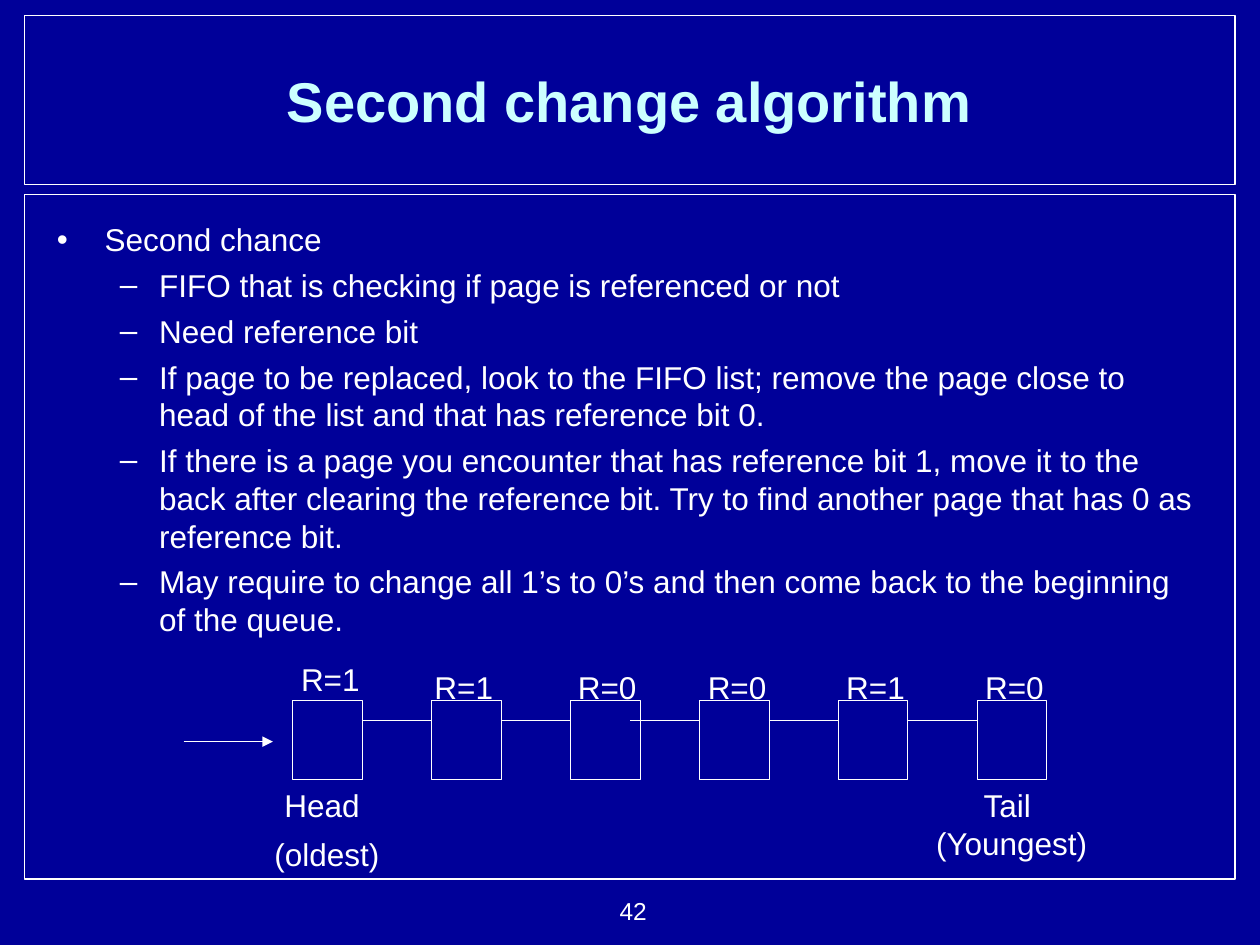
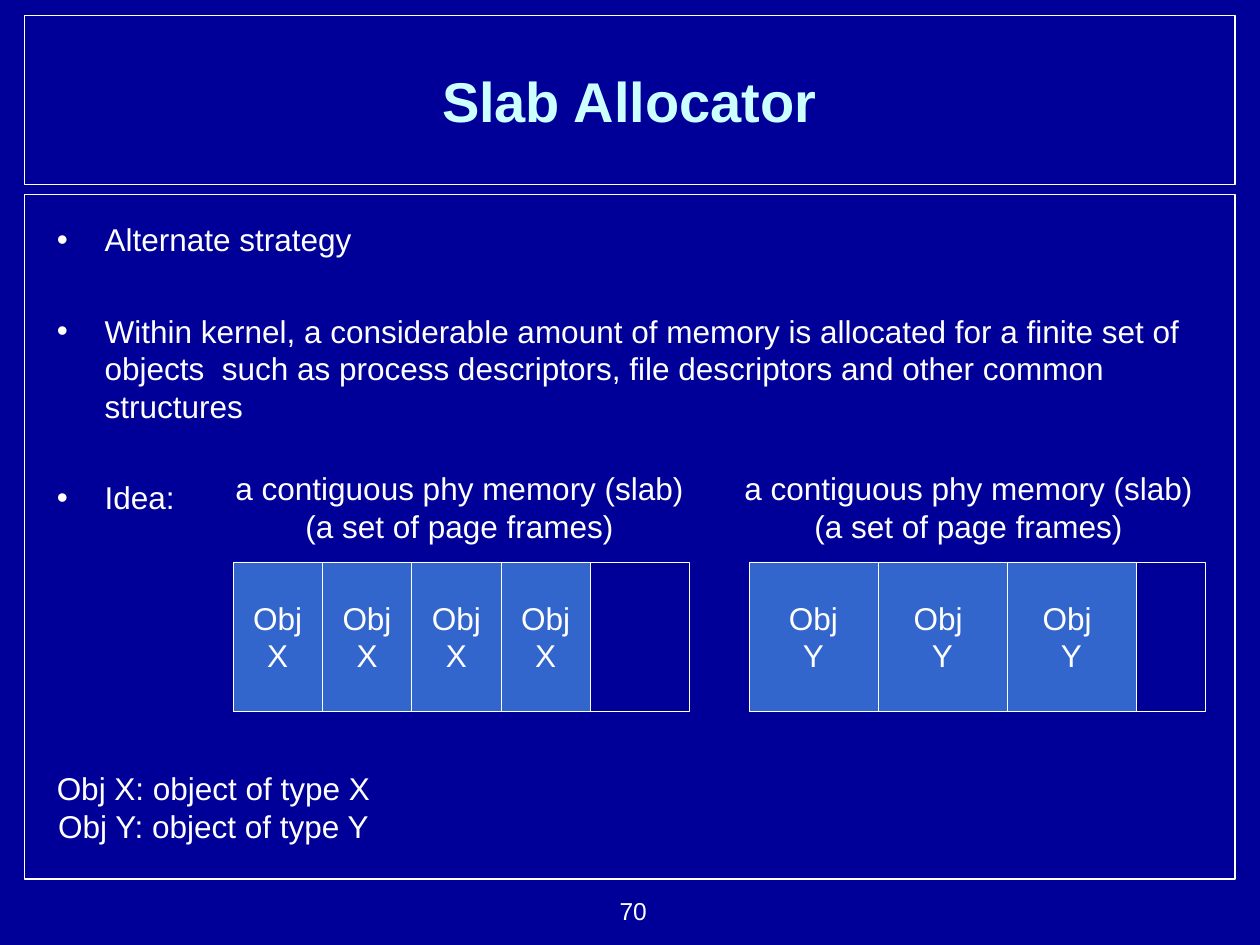
from lxml import etree
from pptx import Presentation
from pptx import util as u
from pptx.dml.color import RGBColor
from pptx.enum import shapes, text
from pptx.oxml import ns

Cm, Pt = u.Cm, u.Pt

# Content
SECOND_CHANCE = {
    "title": "Second change algorithm",
    "number": "42",
    # level, space before in points, text
    "body": [
        (0, 0, "Second chance"),
        (1, 4.5, "FIFO that is checking if page is referenced or not"),
        (1, 4.5, "Need reference bit"),
        (1, 4.5, "If page to be replaced, look to the FIFO list; remove the page "
                 "close to head of the list and that has reference bit 0."),
        (1, 4.5, "If there is a page you encounter that has reference bit 1, move it "
                 "to the back after clearing the reference bit. Try to find another "
                 "page that has 0 as reference bit."),
        (1, 4.5, "May require to change all 1’s to 0’s and then come back to the "
                 "beginning of the queue."),
    ],
    # page left, label left, label top, label
    "queue": [
        (5.9, 5.82, 13.18, "R=1"),
        (8.7, 8.51, 13.34, "R=1"),
        (11.5, 11.4, 13.34, "R=0"),
        (14.1, 14.02, 13.34, "R=0"),
        (16.9, 16.81, 13.34, "R=1"),
        (19.7, 19.61, 13.34, "R=0"),
    ],
    "ends": [
        ((5.49, 15.72, 2.18, 1.02), "Head "),
        ((5.28, 16.71, 2.62, 1.02), "(oldest)"),
        ((18.59, 15.72, 3.61, 1.78), "Tail \n(Youngest)"),
    ],
}
SLAB = {
    "title": "Slab Allocator",
    "number": "70",
    "body": [
        (0, 0, "Alternate strategy"),
        (0, 30.5, "Within kernel, a considerable amount of memory is allocated for a "
                  "finite set of objects  such as process descriptors, file descriptors "
                  "and other common structures"),
        (0, 30.5, "Idea:"),
    ],
    "caption": "a contiguous phy memory (slab)\n(a set of page frames)",
    # slab left, caption left, object width, objects
    "slabs": [
        (4.7, 4.5, 1.8, ["Obj\nX"] * 4),
        (15.1, 14.76, 2.6, ["Obj\nY", "Obj \vY", "Obj \vY"]),
    ],
    "legend": "Obj X: object of type X\vObj Y: object of type Y",
}

# Shared style
COLORS = {"back": "000099", "ink": "FFFFFF", "title": "CCFFFF", "object": "3366CC"}
FONT = "Arial"
FRAMES = [(0.49, 0.32, 24.41, 3.4), (0.49, 3.92, 24.41, 13.8)]
TITLE_AREA = (0.89, 0.43, 23.6, 3.18)
BODY_AREA = (0.9, 4.32, 23.6, 13)
NUMBER_AREA = (10.65, 17.93, 2.64, 0.86)
BULLETS = [("•", 0.96, 0.96), ("–", 2.06, 0.79)]  # mark, margin, hanging
HAIRLINE = 0.25


def rgb(name):
    return RGBColor.from_string(COLORS[name])


def write(frame, content, size=18, color="ink", bold=False, align=text.PP_ALIGN.CENTER):
    frame.text = content
    for para in frame.paragraphs:
        para.alignment = align
        for span in para.runs:
            span.font.name = FONT
            span.font.size = Pt(size)
            span.font.bold = bold
            span.font.color.rgb = rgb(color)


def add_label(page, area, content):
    box = page.shapes.add_textbox(*map(Cm, area))
    frame = box.text_frame
    frame.word_wrap = False
    frame.auto_size = text.MSO_AUTO_SIZE.SHAPE_TO_FIT_TEXT
    frame.margin_left = frame.margin_right = Cm(0.1)
    write(frame, content)


def add_box(page, area, fill=None, weight=HAIRLINE, content=""):
    box = page.shapes.add_shape(shapes.MSO_SHAPE.RECTANGLE, *map(Cm, area))
    box.shadow.inherit = False
    if fill:
        box.fill.solid()
        box.fill.fore_color.rgb = rgb(fill)
    else:
        box.fill.background()
    box.line.color.rgb = rgb("ink")
    box.line.width = Pt(weight)
    if content:
        box.text_frame.word_wrap = False
        box.text_frame.vertical_anchor = text.MSO_ANCHOR.MIDDLE
        write(box.text_frame, content)


def add_line(page, left, right, height, arrow=False):
    line = page.shapes.add_connector(
        shapes.MSO_CONNECTOR.STRAIGHT, Cm(left), Cm(height), Cm(right), Cm(height))
    line.line.color.rgb = rgb("ink")
    line.line.width = Pt(HAIRLINE)
    if arrow:
        etree.SubElement(line.line._get_or_add_ln(), ns.qn("a:tailEnd"), type="triangle")
    etree.SubElement(line._element.spPr, ns.qn("a:effectLst"))


def add_body(page, items):
    frame = page.shapes.add_textbox(*map(Cm, BODY_AREA)).text_frame
    frame.word_wrap = True
    write(frame, "\n".join(item[2] for item in items), align=text.PP_ALIGN.LEFT)
    for para, (level, before, _) in zip(frame.paragraphs, items):
        mark, margin, hanging = BULLETS[level]
        para.level = level
        para.space_before = Pt(before)
        props = para._p.get_or_add_pPr()
        props.set("marL", str(Cm(margin)))
        props.set("indent", str(-Cm(hanging)))
        etree.SubElement(props, ns.qn("a:buFont"), typeface=FONT)
        etree.SubElement(props, ns.qn("a:buChar"), char=mark)


def add_page(deck, content):
    page = deck.slides.add_slide(deck.slide_layouts[5])
    for area in FRAMES:
        add_box(page, area, weight=0.75)
    title = page.shapes.title
    title.left, title.top, title.width, title.height = map(Cm, TITLE_AREA)
    title.text_frame.vertical_anchor = text.MSO_ANCHOR.MIDDLE
    write(title.text_frame, content["title"], size=32, color="title", bold=True)
    number = page.shapes.add_textbox(*map(Cm, NUMBER_AREA)).text_frame
    number.word_wrap = True
    write(number, content["number"], size=14, align=text.PP_ALIGN.RIGHT)
    add_body(page, content["body"])
    return page


def draw_queue(page, content):
    top, width, height, link = 14.12, 1.4, 1.6, 1.4
    for index, (left, label_left, label_top, label) in enumerate(content["queue"]):
        add_box(page, (left, top, width, height))
        add_label(page, (label_left, label_top, 1.68, 1.02), label)
        if index:
            add_line(page, left - link, left, 14.52)
    add_line(page, 3.7, 5.5, 14.95, arrow=True)
    for area, label in content["ends"]:
        add_label(page, area, label)


def draw_slabs(page, content):
    top, width, height = 11.33, 9.2, 3
    for left, caption_left, step, objects in content["slabs"]:
        add_box(page, (left, top, width, height))
        add_label(page, (caption_left, 9.33, 9.53, 1.78), content["caption"])
        for index, label in enumerate(objects):
            add_box(page, (left + index * step, top, step, height), "object", content=label)
    add_label(page, (0.89, 15.38, 6.83, 1.78), content["legend"])


def main():
    deck = Presentation()
    deck.slide_width, deck.slide_height = Cm(25.4), Cm(19.05)
    background = deck.slide_master.background.fill
    background.solid()
    background.fore_color.rgb = rgb("back")
    draw_queue(add_page(deck, SECOND_CHANCE), SECOND_CHANCE)
    draw_slabs(add_page(deck, SLAB), SLAB)
    deck.save("out.pptx")


if __name__ == "__main__":
    main()
